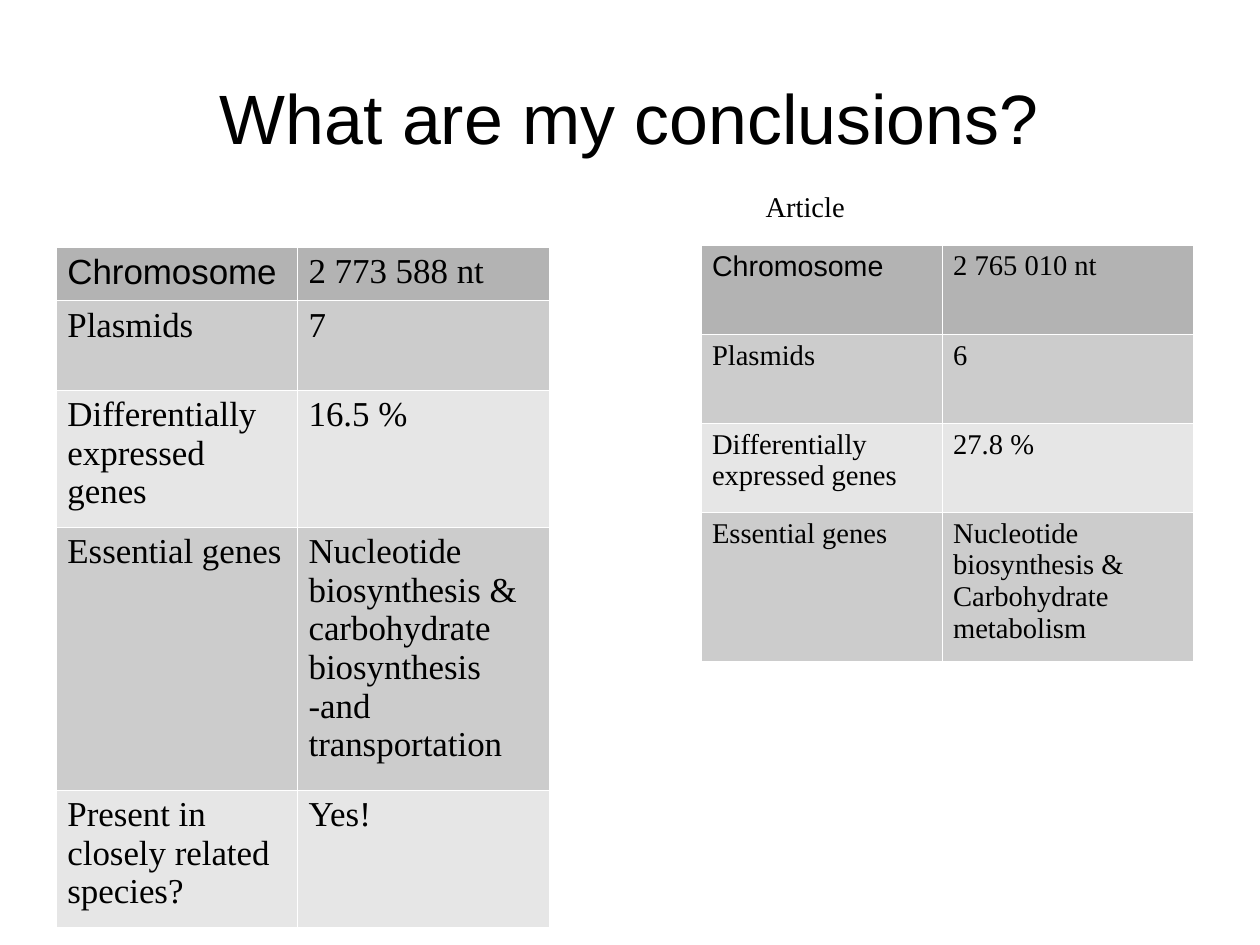
from lxml import etree
from pptx import Presentation
from pptx.dml.color import RGBColor
from pptx.enum.text import MSO_ANCHOR, PP_ALIGN
from pptx.oxml.ns import qn
from pptx.util import Emu, Inches, Pt

MIDDLE = MSO_ANCHOR.MIDDLE
TOP = MSO_ANCHOR.TOP
CENTER = PP_ALIGN.CENTER
LEFT = PP_ALIGN.LEFT

THEME = {
    "sans": "Arial",
    "serif": "Times New Roman",
    "ink": "000000",
    "edge": "FFFFFF",
    "head": "B3B3B3",
    "bands": ("CCCCCC", "E6E6E6"),
    "title": 44,
    "large": 22,
    "small": 18,
    "rule": 0.06,
}

PAGE = (10080625, 7559675)
TITLE = "What are my conclusions?"
LABEL = "Article"
COLS = (2.11, 2.2)
TABLES = [
    {
        "at": (0.49, 2.16),
        "size": "large",
        "rows": [
            (0.47, "Chromosome", "2 773 588 nt"),
            (0.78, "Plasmids", "7"),
            (1.2, "Differentially expressed genes", "16.5 %"),
            (2.3, "Essential genes",
             "Nucleotide biosynthesis & carbohydrate biosynthesis -and transportation"),
            (1.2, "Present in closely related species?", "Yes!"),
        ],
    },
    {
        "at": (6.13, 2.14),
        "size": "small",
        "rows": [
            (0.78, "Chromosome", "2 765 010 nt"),
            (0.78, "Plasmids", "6"),
            (0.78, "Differentially expressed genes", "27.8 %"),
            (1.29, "Essential genes",
             "Nucleotide biosynthesis & Carbohydrate metabolism"),
        ],
    },
]


def write(frame, text, size, font, align=LEFT):
    para = frame.paragraphs[0]
    para.alignment = align
    run = para.add_run()
    run.text = text
    run.font.size = Pt(THEME[size])
    run.font.name = THEME[font]
    run.font.bold = False
    run.font.color.rgb = RGBColor.from_string(THEME["ink"])


def add_text(slide, box, text, size, font, align=LEFT, anchor=TOP, inset=(0.1, 0.05)):
    frame = slide.shapes.add_textbox(*map(Inches, box)).text_frame
    frame.word_wrap = True
    frame.vertical_anchor = anchor
    frame.margin_left = frame.margin_right = Inches(inset[0])
    frame.margin_top = frame.margin_bottom = Inches(inset[1])
    write(frame, text, size, font, align)


def edge(cell):
    props = cell._tc.get_or_add_tcPr()
    for spot, side in enumerate(("lnL", "lnR", "lnT", "lnB")):
        line = etree.Element(qn("a:" + side), w=str(Pt(THEME["rule"])))
        fill = etree.SubElement(line, qn("a:solidFill"))
        etree.SubElement(fill, qn("a:srgbClr"), val=THEME["edge"])
        props.insert(spot, line)


def add_grid(slide, data):
    rows = data["rows"]
    size = (sum(COLS), sum(row[0] for row in rows))
    box = map(Inches, data["at"] + size)
    table = slide.shapes.add_table(len(rows), len(COLS), *box).table
    table.first_row = False
    table.horz_banding = False
    for col, width in zip(table.columns, COLS):
        col.width = Inches(width)
    for r, (height, *texts) in enumerate(rows):
        table.rows[r].height = Inches(height)
        shade = THEME["bands"][(r - 1) % 2] if r else THEME["head"]
        for c, text in enumerate(texts):
            cell = table.cell(r, c)
            cell.margin_left = cell.margin_right = Inches(0.1)
            cell.margin_top = cell.margin_bottom = Inches(0.05)
            cell.fill.solid()
            cell.fill.fore_color.rgb = RGBColor.from_string(shade)
            edge(cell)
            font = "sans" if r == c == 0 else "serif"
            write(cell.text_frame, text, data["size"], font)


def main():
    deck = Presentation()
    deck.slide_width, deck.slide_height = map(Emu, PAGE)
    slide = deck.slides.add_slide(deck.slide_layouts[6])
    add_text(slide, (0.55, 0.33, 9.92, 1.38), TITLE, "title", "sans",
             CENTER, MIDDLE, (0, 0))
    add_text(slide, (6.6, 1.6, 3, 0.38), LABEL, "small", "serif")
    for data in TABLES:
        add_grid(slide, data)
    deck.save("out.pptx")


if __name__ == "__main__":
    main()
